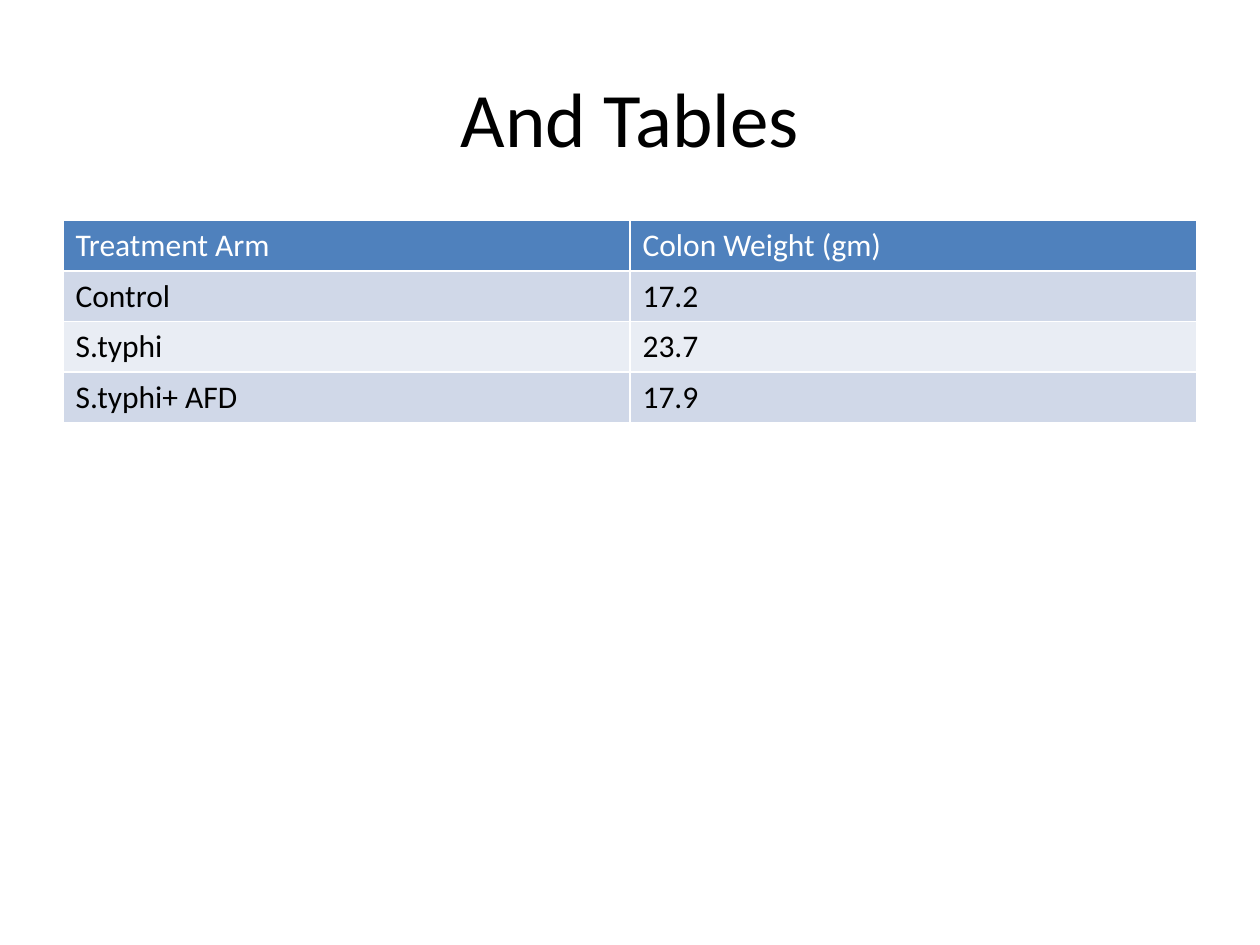
from pptx import Presentation
from pptx.dml.color import RGBColor
from pptx.enum.text import MSO_ANCHOR, PP_ALIGN
from pptx.oxml import parse_xml
from pptx.oxml.ns import nsdecls
from pptx.util import Inches, Pt

FONT = "Calibri"
BLACK = RGBColor(0x00, 0x00, 0x00)
WHITE = RGBColor(0xFF, 0xFF, 0xFF)
HEADER_BLUE = RGBColor(0x4F, 0x81, 0xBD)
BANDS = (RGBColor(0xD0, 0xD8, 0xE8), RGBColor(0xE9, 0xED, 0xF4))

MARGIN = Inches(0.5)
CONTENT_WIDTH = Inches(9)
ROW_HEIGHT = Inches(0.4)

WEIGHTS = (
    ("Treatment Arm", "Colon Weight (gm)"),
    ("Control", "17.2"),
    ("S.typhi", "23.7"),
    ("S.typhi+ AFD", "17.9"),
)


def add_text(paragraph, text, size, color):
    """Add one formatted run to a paragraph."""
    run = paragraph.add_run()
    run.text = text
    run.font.name = FONT
    run.font.size = Pt(size)
    run.font.bold = False
    run.font.color.rgb = color


def add_title(slide, text):
    """Add the centred slide title."""
    title = slide.shapes.add_textbox(
        MARGIN, Inches(0.3), CONTENT_WIDTH, Inches(1.25))
    frame = title.text_frame
    frame.word_wrap = True
    frame.vertical_anchor = MSO_ANCHOR.MIDDLE
    frame.paragraphs[0].alignment = PP_ALIGN.CENTER
    add_text(frame.paragraphs[0], text, 44, BLACK)


def set_borders(cell, color, width):
    """Draw a solid line on all four sides of a cell."""
    properties = cell._tc.get_or_add_tcPr()
    for position, side in enumerate(("lnL", "lnR", "lnT", "lnB")):
        properties.insert(position, parse_xml(
            f'<a:{side} {nsdecls("a")} w="{Pt(width)}"><a:solidFill>'
            f'<a:srgbClr val="{color}"/></a:solidFill></a:{side}>'))


def add_banded_table(slide, rows):
    """Add a table with a coloured header and alternating row fills."""
    table = slide.shapes.add_table(
        len(rows), len(rows[0]), MARGIN, Inches(1.75),
        CONTENT_WIDTH, ROW_HEIGHT * len(rows)).table
    for row_index, values in enumerate(rows):
        is_header = row_index == 0
        fill = HEADER_BLUE if is_header else BANDS[(row_index - 1) % 2]
        for column_index, value in enumerate(values):
            cell = table.cell(row_index, column_index)
            cell.fill.solid()
            cell.fill.fore_color.rgb = fill
            set_borders(cell, WHITE, 1)
            add_text(cell.text_frame.paragraphs[0], value, 18,
                     WHITE if is_header else BLACK)


def main():
    """Build and save the slide."""
    deck = Presentation()
    deck.slide_width, deck.slide_height = Inches(10), Inches(7.5)
    slide = deck.slides.add_slide(deck.slide_layouts[6])
    add_title(slide, "And Tables")
    add_banded_table(slide, WEIGHTS)
    deck.save("out.pptx")


main()
